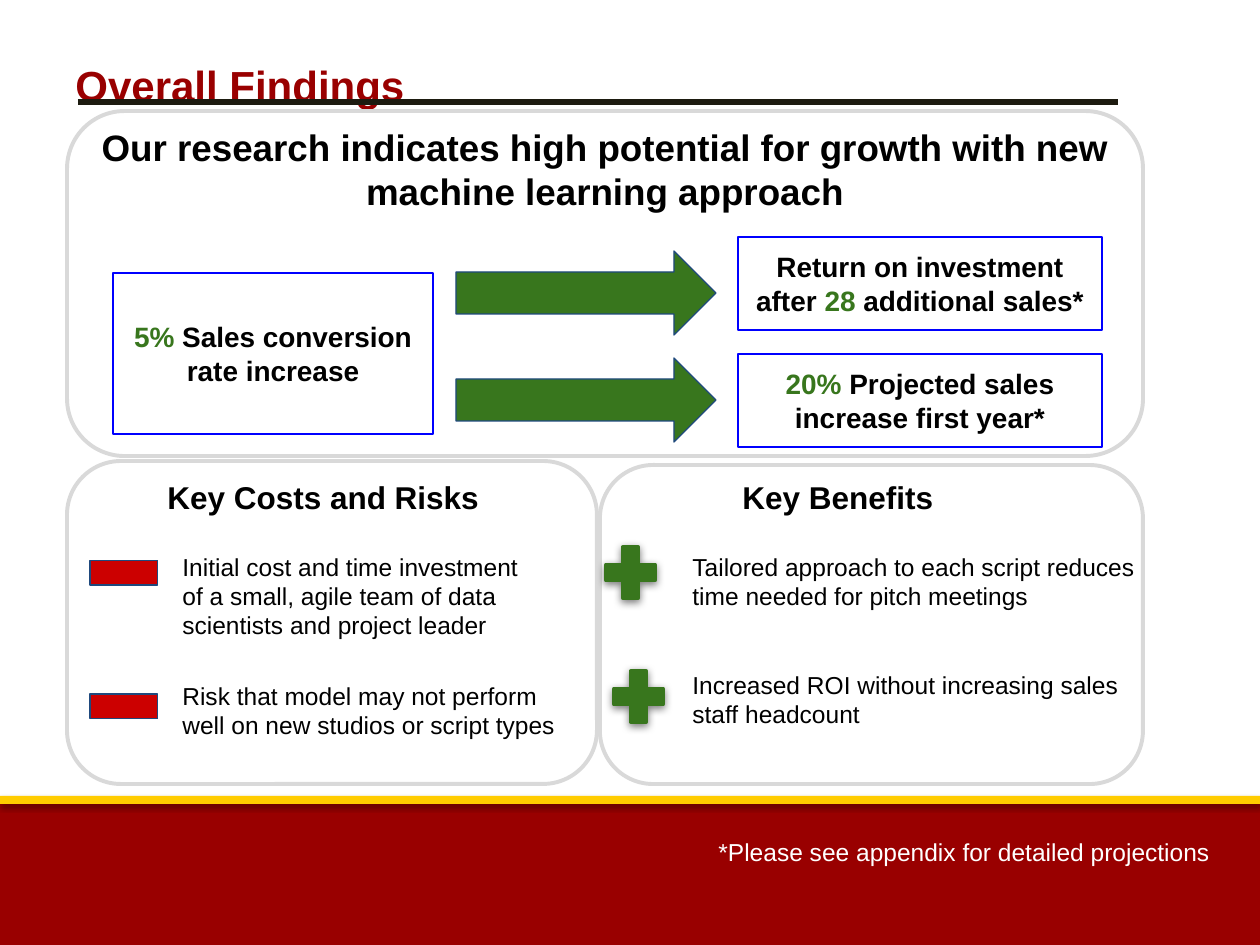
from dataclasses import dataclass

from lxml import etree
from pptx import Presentation
from pptx import util as u
from pptx.dml.color import RGBColor
from pptx.enum import shapes, text
from pptx.oxml import ns

SHAPE = shapes.MSO_SHAPE


@dataclass(frozen=True)
class Theme:
    font: str = "Arial"
    red: str = "990000"
    gold: str = "FFCC00"
    white: str = "FFFFFF"
    black: str = "000000"
    rule: str = "1D1B10"
    frame: str = "D9D9D9"
    green: str = "38761D"
    minus: str = "CC0000"
    navy: str = "1F497D"
    blue: str = "0000FF"
    title: int = 24
    lead: int = 21
    head: int = 18
    fact: int = 16
    body: int = 14


T = Theme()


def px(n):
    return u.Emu(round(n * 914400 / 126))


def rgb(color):
    return RGBColor.from_string(color)


def add_glow(shape, alpha, blur, dist):
    props = shape.element.spPr
    for old in props.findall(ns.qn("a:effectLst")):
        props.remove(old)
    effect = etree.SubElement(props, ns.qn("a:effectLst"))
    outer = etree.SubElement(
        effect, ns.qn("a:outerShdw"), blurRad=str(u.Pt(blur)),
        dist=str(u.Pt(dist)), dir="5400000", algn="ctr", rotWithShape="0")
    tint = etree.SubElement(outer, ns.qn("a:srgbClr"), val=T.black)
    etree.SubElement(tint, ns.qn("a:alpha"), val=str(alpha * 1000))


def add_form(slide, kind, box, fill=None, line=None, width=0.75, glow=None):
    shape = slide.shapes.add_shape(kind, *map(px, box))
    shape.shadow.inherit = False
    if fill:
        shape.fill.solid()
        shape.fill.fore_color.rgb = rgb(fill)
    else:
        shape.fill.background()
    if line:
        shape.line.color.rgb = rgb(line)
        shape.line.width = u.Pt(width)
    else:
        shape.line.fill.background()
    if glow:
        add_glow(shape, *glow)
    return shape


def write(shape, *paras, size=T.body, color=T.black, bold=False,
          align=text.PP_ALIGN.LEFT, anchor=text.MSO_ANCHOR.TOP, gap=0):
    frame = shape.text_frame
    frame.word_wrap = True
    frame.vertical_anchor = anchor
    frame.margin_left = frame.margin_right = u.Inches(0.1)
    frame.margin_top = frame.margin_bottom = u.Inches(0.1)
    for i, runs in enumerate(paras):
        para = frame.add_paragraph() if i else frame.paragraphs[0]
        para.alignment = align
        if i:
            para.space_before = u.Pt(gap)
        for part in [runs] if isinstance(runs, str) else runs:
            words, tone = (part, color) if isinstance(part, str) else part
            run = para.add_run()
            run.text = words
            run.font.name = T.font
            run.font.size = u.Pt(size)
            run.font.bold = bold
            run.font.color.rgb = rgb(tone)


def add_text(slide, box, *paras, **style):
    write(slide.shapes.add_textbox(*map(px, box)), *paras, **style)


def add_fact(slide, box, *runs):
    shape = add_form(slide, SHAPE.RECTANGLE, box, line=T.blue, width=1.5)
    write(shape, runs, size=T.fact, bold=True,
          align=text.PP_ALIGN.CENTER, anchor=text.MSO_ANCHOR.MIDDLE)


def add_panel(slide, box):
    add_form(slide, SHAPE.ROUNDED_RECTANGLE, box, T.white, T.frame, 2.25)


def add_rule(slide, left, right, y):
    line = slide.shapes.add_connector(
        shapes.MSO_CONNECTOR.STRAIGHT, px(left), px(y), px(right), px(y))
    line.line.color.rgb = rgb(T.rule)
    line.line.width = u.Pt(3)
    etree.SubElement(line.element.spPr, ns.qn("a:effectLst"))


def add_footer(slide):
    add_form(slide, SHAPE.RECTANGLE, (0, 800, 1260, 145), T.red,
             glow=(35, 3.1, 1.8))
    add_form(slide, SHAPE.RECTANGLE, (0, 796, 1260, 8), T.gold,
             glow=(37, 3.1, 1.6))
    add_text(slide, (706, 824, 518, 55),
             "*Please see appendix for detailed projections", color=T.white)


def add_growth(slide):
    add_panel(slide, (67, 111, 1076, 345))
    add_text(slide, (62, 112, 1086, 115),
             "Our research indicates high potential for growth with new "
             "machine learning approach",
             size=T.lead, bold=True, align=text.PP_ALIGN.CENTER)
    add_fact(slide, (113, 273, 320, 161),
             ("5%", T.green), " Sales conversion rate increase")
    results = (
        ("Return on investment after ", ("28 ", T.green), "additional sales*"),
        (("20%", T.green), " Projected sales increase first year*"),
    )
    for i, runs in enumerate(results):
        add_form(slide, SHAPE.RIGHT_ARROW, (456, 251 + 107 * i, 260, 84),
                 T.green, T.navy)
        add_fact(slide, (738, 237 + 117 * i, 364, 93), *runs)


def add_costs(slide):
    add_panel(slide, (67, 461, 530, 323))
    add_text(slide, (155, 465, 339, 63), "Key Costs and Risks",
             size=T.head, bold=True)
    costs = (
        (520, (170, 539, 383, 115), "Initial cost and time investment of a "
         "small, agile team of data scientists and project leader"),
        (654, (170, 668, 402, 84), "Risk that model may not perform well on "
         "new studios or script types"),
    )
    for top, box, words in costs:
        add_form(slide, SHAPE.MATH_MINUS, (78, top, 92, 105), T.minus, T.navy)
        add_text(slide, box, words)


def add_gains(slide):
    add_panel(slide, (600, 465, 543, 319))
    add_text(slide, (730, 465, 310, 63), "Key Benefits",
             size=T.head, bold=True)
    for left, top in ((597, 538), (605, 662)):
        add_form(slide, SHAPE.MATH_PLUS, (left, top, 67, 69),
                 T.green, T.green, 2.25, (50, 4.5, 1.5))
    add_text(slide, (680, 539, 471, 263),
             "Tailored approach to each script reduces time needed for pitch "
             "meetings",
             "Increased ROI without increasing sales staff headcount", gap=34)


def main():
    deck = Presentation()
    deck.slide_width, deck.slide_height = px(1260), px(945)
    slide = deck.slides.add_slide(deck.slide_layouts[6])
    add_footer(slide)
    add_text(slide, (63, 47, 1040, 108), "Overall Findings",
             size=T.title, color=T.red, bold=True)
    add_rule(slide, 78, 1118, 102)
    add_costs(slide)
    add_gains(slide)
    add_growth(slide)
    deck.save("out.pptx")


if __name__ == "__main__":
    main()
